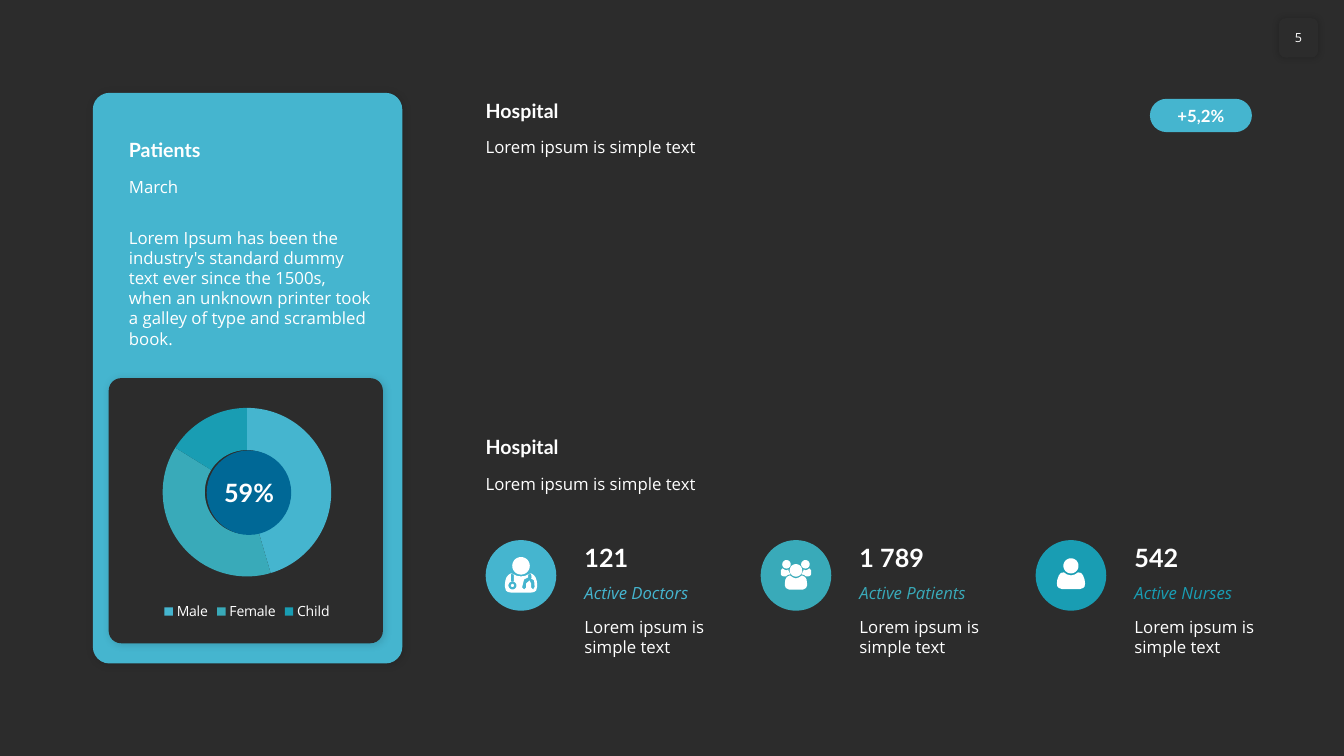
import math

import lxml.etree
import pptx
import pptx.chart.data
import pptx.dml.color
import pptx.enum.chart
import pptx.enum.shapes
import pptx.enum.text
import pptx.oxml
import pptx.oxml.ns
import pptx.util

Cm = pptx.util.Cm
Pt = pptx.util.Pt
Kind = pptx.enum.shapes.MSO_SHAPE
Side = pptx.enum.text.PP_ALIGN
Hold = pptx.enum.text.MSO_ANCHOR
qn = pptx.oxml.ns.qn

HUES = {"dark": "2C2C2C", "white": "FFFFFF", "sky": "45B5CF",
        "teal": "39AAB9", "sea": "199DB3", "navy": "006896"}
ICON_UNIT = Cm(2.54) / 100
LOREM = "Lorem ipsum is simple text"


def tint(name):
    return pptx.dml.color.RGBColor.from_string(HUES[name])


def write(frame, text, size=12, face="Open Sans", hue="white", bold=False,
          slant=False, side=Side.LEFT, hold=Hold.TOP, inset=None, wrap=True):
    frame.word_wrap = wrap
    frame.vertical_anchor = hold
    if inset is not None:
        frame.margin_left = frame.margin_right = Cm(0)
        frame.margin_top = frame.margin_bottom = Cm(inset)
    line = frame.paragraphs[0]
    line.alignment = side
    run = line.add_run()
    run.text = text
    run.font.size = Pt(size)
    run.font.name = face
    run.font.bold = bold
    run.font.italic = slant
    run.font.color.rgb = tint(hue)


def ring(x, y, radius, steps=36):
    turns = [2 * math.pi * i / steps for i in range(steps)]
    return [(x + radius * math.cos(t), y + radius * math.sin(t)) for t in turns]


def flip(points):
    return [(-x, y) for x, y in points]


def whole(half):
    return half + flip(half)[::-1]


class Deck:
    def __init__(self):
        self.show = pptx.Presentation()
        self.show.slide_width = Cm(33.87)
        self.show.slide_height = Cm(19.05)
        self.slide = self.show.slides.add_slide(self.show.slide_layouts[6])
        fill = self.slide.background.fill
        fill.solid()
        fill.fore_color.rgb = tint("dark")

    def paint(self, shape, hue):
        shape.shadow.inherit = False
        shape.fill.solid()
        shape.fill.fore_color.rgb = tint(hue)
        shape.line.fill.background()
        return shape

    def shape(self, kind, x, y, w, h, hue, bend=None):
        shape = self.slide.shapes.add_shape(kind, Cm(x), Cm(y), Cm(w), Cm(h))
        if bend is not None:
            shape.adjustments[0] = bend
        return self.paint(shape, hue)

    def shade(self, shape, blur, gap, alpha):
        effects = shape._element.spPr.find(qn("a:effectLst"))
        cast = lxml.etree.SubElement(
            effects, qn("a:outerShdw"), blurRad=str(Pt(blur)),
            dist=str(Pt(gap)), dir="2700000", algn="tl", rotWithShape="0")
        color = lxml.etree.SubElement(cast, qn("a:srgbClr"), val="000000")
        lxml.etree.SubElement(color, qn("a:alpha"), val=str(alpha * 1000))

    def card(self, x, y, w, h, hue, bend):
        self.shade(self.shape(Kind.ROUNDED_RECTANGLE, x, y, w, h, hue, bend), 6, 1, 15)

    def text(self, x, y, w, h, words, **style):
        box = self.slide.shapes.add_textbox(Cm(x), Cm(y), Cm(w), Cm(h))
        write(box.text_frame, words, **style)
        box.text_frame.auto_size = pptx.enum.text.MSO_AUTO_SIZE.SHAPE_TO_FIT_TEXT

    def head(self, x, y, w, title, note):
        self.text(x, y, w, 0.86, title, size=14, face="Lato", bold=True, hold=Hold.BOTTOM)
        self.text(x, y + 0.99, w, 0.76, note)

    def icon(self, x, y, loops):
        pen = None
        for loop in loops:
            points = [(a * ICON_UNIT, b * ICON_UNIT) for a, b in loop]
            if pen is None:
                pen = self.slide.shapes.build_freeform(*points[0], scale=1.0)
            else:
                pen.move_to(*points[0])
            pen.add_line_segments(points[1:], close=True)
        self.paint(pen.convert_to_shape(Cm(x), Cm(y)), "white")

    def stat(self, x, y, count, label, hue, loops):
        self.shape(Kind.OVAL, x, y, 1.78, 1.78, hue)
        self.icon(x + 0.89, y + 0.89, loops)
        left = x + 2.24
        self.text(left, y - 0.07, 3.66, 1.02, count, size=18, face="Lato",
                  bold=True, hold=Hold.BOTTOM)
        self.text(left, y + 0.94, 3.66, 0.76, label, hue=hue, slant=True)
        self.text(left, y + 1.8, 3.66, 1.27, LOREM)

    def donut(self, x, y, w, h, parts):
        data = pptx.chart.data.CategoryChartData()
        data.categories = [name for name, _, _ in parts]
        data.add_series("Series 1", [value for _, value, _ in parts])
        chart = self.slide.shapes.add_chart(
            pptx.enum.chart.XL_CHART_TYPE.DOUGHNUT,
            Cm(x), Cm(y), Cm(w), Cm(h), data).chart
        chart.has_title = False
        chart.has_legend = True
        chart.legend.position = pptx.enum.chart.XL_LEGEND_POSITION.BOTTOM
        chart.legend.include_in_layout = False
        for font in (chart.font, chart.legend.font):
            font.size = Pt(10)
            font.name = "Open Sans"
            font.color.rgb = tint("white")
        plot = chart.plots[0]
        plot.vary_by_categories = True
        for i, (_, _, hue) in enumerate(parts):
            look = plot.series[0].points[i].format
            look.fill.solid()
            look.fill.fore_color.rgb = tint(hue)
            look.line.fill.background()
        area = chart._chartSpace.chart.plotArea
        next(area.iter(qn("c:holeSize"))).set("val", "75")
        for old in area.findall(qn("c:layout")):
            area.remove(old)
        layout = lxml.etree.Element(qn("c:layout"))
        manual = lxml.etree.SubElement(layout, qn("c:manualLayout"))
        rules = {"layoutTarget": "inner", "xMode": "edge", "yMode": "edge",
                 "x": "0.17", "y": "0.06", "w": "0.66", "h": "0.73"}
        for key, value in rules.items():
            lxml.etree.SubElement(manual, qn("c:" + key), val=value)
        area.insert(0, layout)


def nurse():
    half = [(0, 0), (4, -1), (7, -3), (10, -2.5), (12, 0), (13.5, 4),
            (14, 8), (13.5, 11), (12, 12.5), (9, 13.5)]
    return [whole(half), ring(0, -9.5, 7.5)]


def crowd():
    half = [(0, 3), (3, 2), (6, 0), (9, 1.5), (10.5, 4), (11, 8),
            (11, 10), (10, 12.5), (7, 14)]
    wing = [(5.5, -1), (7.5, -5), (7.5, -6), (9.5, -5), (11, -5.5), (13.5, -7),
            (15, -5), (15, -1), (14, 0.5), (12, 1), (10, 1), (8, -0.5)]
    ear = ring(9.4, -11, 4.2)
    return [whole(half), ring(0, -5, 6.2), wing, flip(wing), ear, flip(ear)]


def doctor():
    half = [(0, 1), (4, 0.5), (7, -1), (10, -2), (12.5, -0.5), (14.5, 2),
            (15.5, 5), (16, 9), (16, 11), (15, 15), (13, 16.5), (10, 17)]
    stem = [(-10, -1.5), (-7, -1), (-7, 6), (-10, 6)]
    fork = [(7, -1), (10, -1.5), (10.5, 2), (10, 3), (13, 5), (13.5, 11.5),
            (12, 14), (10, 12), (10, 8), (8.5, 5), (5, 8), (5, 12),
            (3, 14), (1, 12), (2, 8), (3, 4), (7, 2)]
    return [whole(half), ring(0, -9.5, 8.7), stem, ring(-8.5, 10, 4),
            ring(-8.5, 10, 1.5), fork]


def main():
    deck = Deck()
    page = deck.shape(Kind.ROUNDED_RECTANGLE, 32.23, 0.46, 0.99, 0.99, "dark")
    deck.shade(page, 5, 0, 20)
    write(page.text_frame, "5", size=9, side=Side.CENTER, hold=Hold.MIDDLE,
          inset=0.13, wrap=False)

    deck.card(2.34, 2.34, 7.8, 14.38, "sky", 0.054)
    deck.head(3, 3.33, 6.65, "Patients", "March")
    deck.text(3, 5.61, 6.65, 2.82,
              "Lorem Ipsum has been the industry's standard dummy text ever since "
              "the 1500s, when an unknown printer took a galley of type and scrambled book.")
    deck.card(2.74, 9.53, 6.91, 6.68, "dark", 0.047)
    deck.donut(3, 9.93, 6.45, 5.82, [
        ("Male", 45, "sky"), ("Female", 38, "teal"), ("Child", 16, "sea")])
    deck.shape(Kind.OVAL, 5.21, 11.35, 2.13, 2.13, "navy")
    deck.text(5.21, 11.91, 2.13, 1.02, "59%", size=18, face="Lato", bold=True,
              side=Side.CENTER, hold=Hold.MIDDLE)

    for top in (2.34, 10.82):
        deck.head(11.99, top, 19.53, "Hospital", LOREM)
    badge = deck.shape(Kind.ROUNDED_RECTANGLE, 28.98, 2.49, 2.57, 0.84, "sky", 0.5)
    write(badge.text_frame, "+5,2%", face="Lato", bold=True, side=Side.CENTER,
          hold=Hold.MIDDLE, inset=0)

    stats = [("121", "Active Doctors", "sky", doctor()),
             ("1 789", "Active Patients", "teal", crowd()),
             ("542", "Active Nurses", "sea", nurse())]
    for i, stat in enumerate(stats):
        deck.stat(12.24 + 6.93 * i, 13.61, *stat)
    deck.show.save("out.pptx")


if __name__ == "__main__":
    main()
